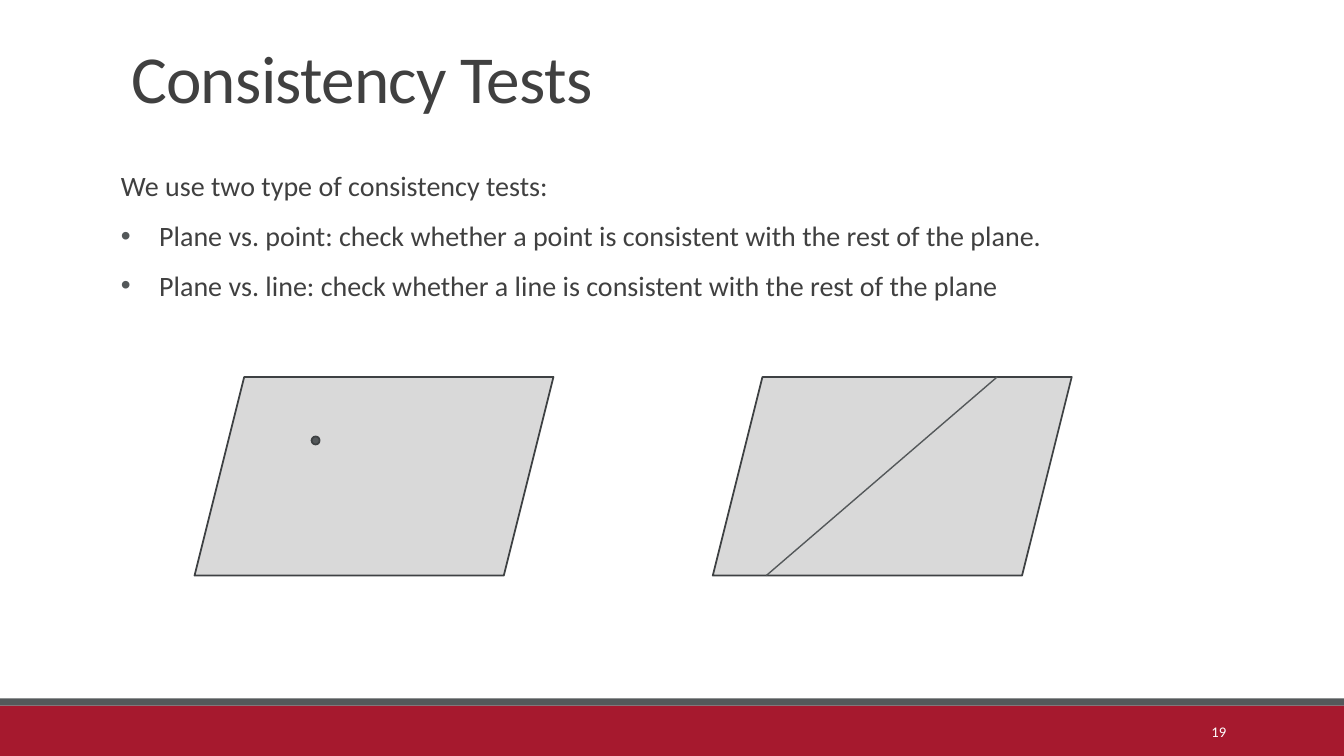
from lxml import etree
from pptx import Presentation, util as u
from pptx.dml.color import RGBColor
from pptx.enum import shapes, text
from pptx.oxml import ns

WIDTH, HEIGHT = 13.33, 7.5
MARGIN, CONTENT_WIDTH = 0.09 * WIDTH, 11
PLANE_WIDTH, PLANE_HEIGHT, PLANE_TOP = 3.56, 1.97, 3.74
PLANE_LEFTS = (1.93, 7.07)
POINT_SIZE = 0.08
RED, GREY, OUTLINE, INK, PLANE = "A6192E", "54585A", "3E4143", "404040", "D9D9D9"
TESTS = (
    "Plane vs. point: check whether a point is consistent with the rest of the plane.",
    "Plane vs. line: check whether a line is consistent with the rest of the plane",
)


def colour(hex_string):
    return RGBColor.from_string(hex_string)


def inches(*lengths):
    return [u.Inches(length) for length in lengths]


def add_figure(slide, kind, box, fill, outline=None):
    shape = slide.shapes.add_shape(kind, *inches(*box))
    shape.shadow.inherit = False
    shape.fill.solid()
    shape.fill.fore_color.rgb = colour(fill)
    if outline:
        shape.line.color.rgb = colour(outline)
        shape.line.width = u.Pt(1.25)
    else:
        shape.line.fill.background()


def add_line(slide, start, end):
    line = slide.shapes.add_connector(
        shapes.MSO_CONNECTOR.STRAIGHT, *inches(*start, *end))
    line.line.color.rgb = colour(GREY)
    line.line.width = u.Pt(1)
    properties = line._element.spPr
    etree.SubElement(properties, ns.qn("a:effectLst"))


def format_runs(paragraph, size, hex_string):
    for run in paragraph.runs:
        run.font.name = "Calibri"
        run.font.size = u.Pt(size)
        run.font.color.rgb = colour(hex_string)


def add_bullet(paragraph):
    properties = paragraph._p.get_or_add_pPr()
    properties.set("marL", str(u.Inches(0.38)))
    properties.set("indent", str(-u.Inches(0.38)))
    bullet_colour = etree.SubElement(properties, ns.qn("a:buClr"))
    etree.SubElement(bullet_colour, ns.qn("a:srgbClr"), val=GREY)
    etree.SubElement(properties, ns.qn("a:buFont"), typeface="Arial")
    etree.SubElement(properties, ns.qn("a:buChar"), char="•")


def set_title(slide, words):
    title = slide.shapes.title
    title.left, title.top, title.width, title.height = inches(
        MARGIN, 0.31, CONTENT_WIDTH, 0.9)
    frame = title.text_frame
    frame.text = words
    frame.auto_size = text.MSO_AUTO_SIZE.NONE
    frame.vertical_anchor = text.MSO_ANCHOR.BOTTOM
    paragraph = frame.paragraphs[0]
    paragraph.alignment = text.PP_ALIGN.LEFT
    paragraph.line_spacing = 0.85
    format_runs(paragraph, 48, INK)
    paragraph.runs[0]._r.get_or_add_rPr().set("spc", "-50")


def add_body(slide, introduction, bullets):
    box = slide.shapes.add_textbox(*inches(MARGIN, 1.66, CONTENT_WIDTH, 4.76))
    frame = box.text_frame
    frame.word_wrap = True
    frame.margin_left = frame.margin_right = 0
    frame.text = "\n".join((introduction, *bullets))
    for index, paragraph in enumerate(frame.paragraphs):
        paragraph.line_spacing = 0.9
        paragraph.space_before = u.Pt(12 if index else 0)
        paragraph.space_after = u.Pt(2)
        if index:
            add_bullet(paragraph)
        format_runs(paragraph, 20, INK)


def add_slide_number(slide, number):
    box = slide.shapes.add_textbox(*inches(10.83, 7.06, 1.43, 0.4))
    frame = box.text_frame
    frame.word_wrap = True
    frame.vertical_anchor = text.MSO_ANCHOR.MIDDLE
    frame.text = number
    frame.paragraphs[0].alignment = text.PP_ALIGN.RIGHT
    format_runs(frame.paragraphs[0], 10.5, "FFFFFF")


def main():
    presentation = Presentation()
    presentation.slide_width, presentation.slide_height = inches(WIDTH, HEIGHT)
    slide = presentation.slides.add_slide(presentation.slide_layouts[5])
    kinds = shapes.MSO_SHAPE

    add_figure(slide, kinds.RECTANGLE, (0, 7, WIDTH, 0.5), RED)
    add_figure(slide, kinds.RECTANGLE, (0, 6.93, WIDTH, 0.07), GREY)
    set_title(slide, "Consistency Tests")
    add_body(slide, "We use two type of consistency tests:", TESTS)
    add_slide_number(slide, "19")

    for left in PLANE_LEFTS:
        add_figure(slide, kinds.PARALLELOGRAM,
                   (left, PLANE_TOP, PLANE_WIDTH, PLANE_HEIGHT), PLANE, OUTLINE)
    add_line(slide, (9.89, PLANE_TOP), (7.6, PLANE_TOP + PLANE_HEIGHT))
    add_figure(slide, kinds.OVAL, (3.09, 4.33, POINT_SIZE, POINT_SIZE), GREY, OUTLINE)

    presentation.save("out.pptx")


if __name__ == "__main__":
    main()
